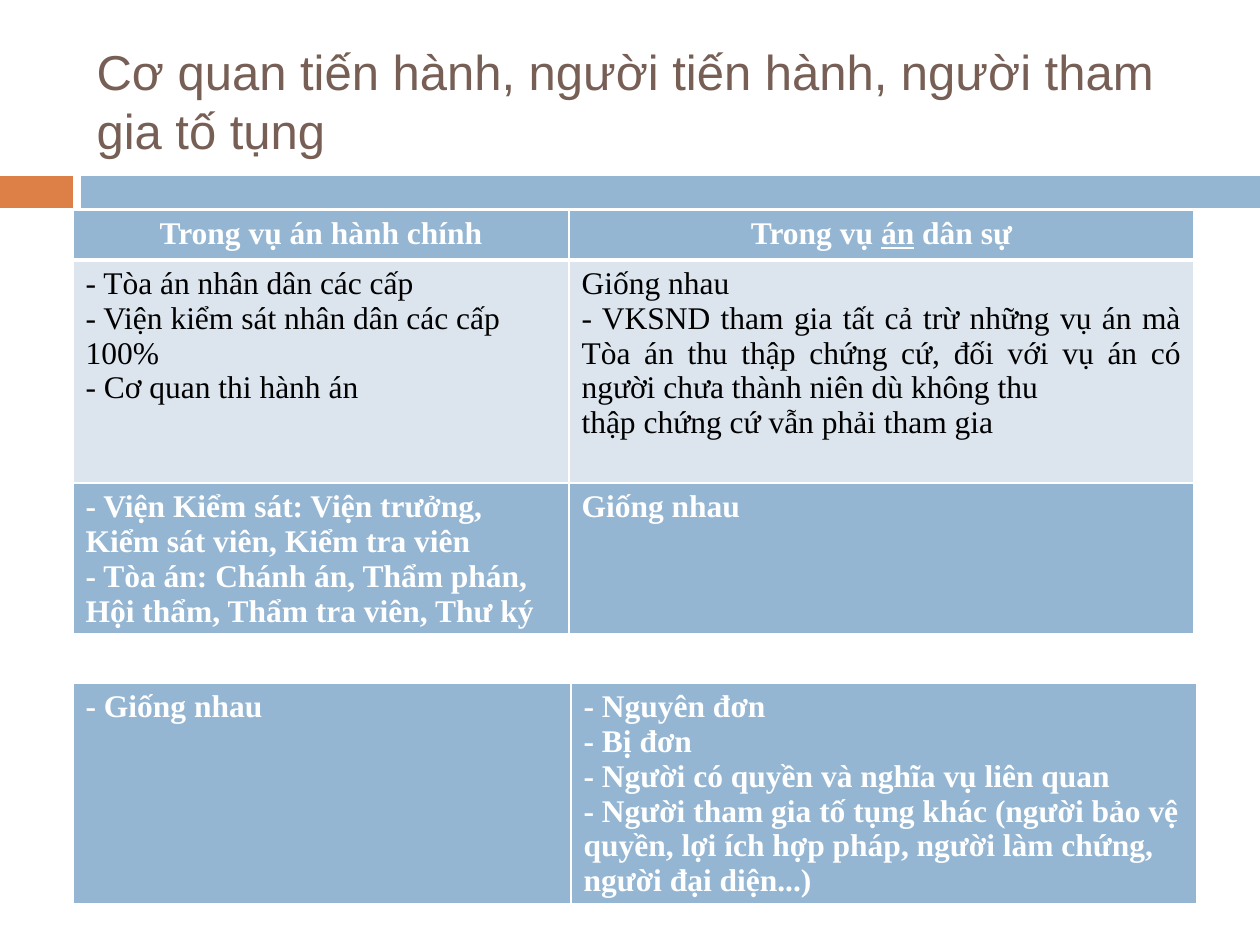
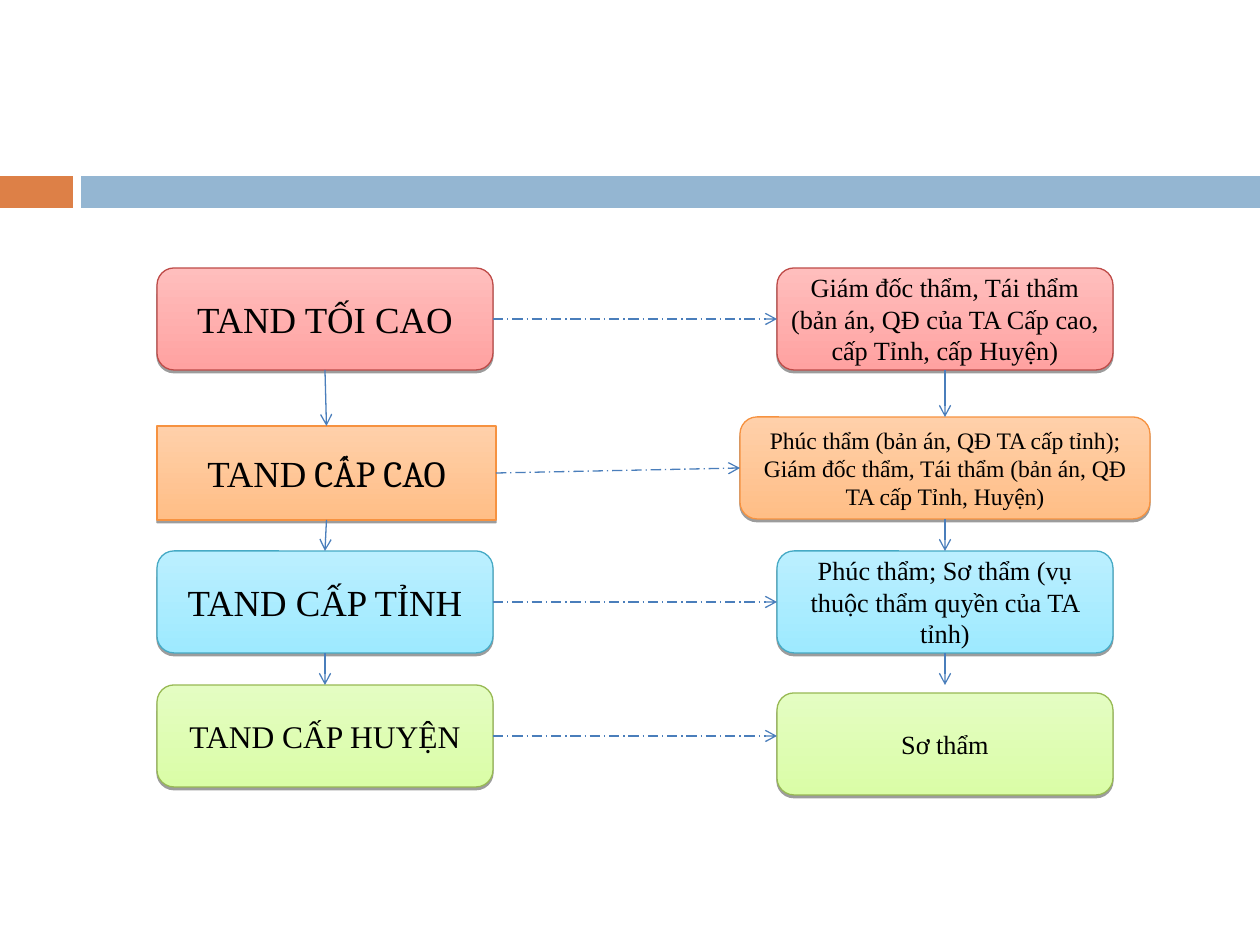
from dataclasses import dataclass
from typing import NamedTuple, Optional, Sequence, Union

from lxml.etree import SubElement
from pptx import Presentation
from pptx.dml.color import RGBColor
from pptx.enum.dml import MSO_LINE
from pptx.enum.shapes import MSO_CONNECTOR, MSO_SHAPE
from pptx.enum.text import MSO_ANCHOR, MSO_AUTO_SIZE, PP_ALIGN
from pptx.oxml.ns import qn
from pptx.util import Emu, Pt

PX_PER_INCH = 126
TOP, LEFT, BOTTOM, RIGHT = range(4)


def px(length: int) -> Emu:
    return Emu(round(length * 914400 / PX_PER_INCH))


@dataclass(frozen=True)
class Theme:
    title_font: str = "Arial"
    text_font: str = "Times New Roman"
    accent_font: str = "Cambria"
    title: str = "775F55"
    orange: str = "DD8047"
    blue: str = "94B6D2"
    pale_blue: str = "DCE5EE"
    white: str = "FFFFFF"
    black: str = "000000"
    arrow: str = "4A7EBB"
    title_size: float = 28
    table_size: float = 18
    court_size: float = 21
    district_size: float = 18
    power_size: float = 15
    dense_size: float = 13.5
    hairline: float = 0.75


THEME = Theme()


class Run(NamedTuple):
    text: str
    font: Optional[str] = None
    underline: bool = False


Paragraph = Union[str, Sequence[Run]]


class Level(NamedTuple):
    dark: str
    light: str
    edge: str


class Box(NamedTuple):
    x: int
    y: int
    width: int
    height: int
    level: Level
    text: Paragraph
    size: float
    outline: MSO_SHAPE = MSO_SHAPE.ROUNDED_RECTANGLE


class Cell(NamedTuple):
    paragraphs: Sequence[Paragraph]
    align: PP_ALIGN = PP_ALIGN.LEFT
    fill: str = THEME.blue
    color: str = THEME.white
    bold: bool = True
    bottom_border: float = 3


class Grid(NamedTuple):
    y: int
    columns: Sequence[int]
    heights: Sequence[int]
    rows: Sequence[Sequence[Cell]]


def body_cell(*paragraphs: str) -> Cell:
    return Cell(paragraphs, PP_ALIGN.JUSTIFY, THEME.pale_blue, THEME.black, False, 1)


# Content: comparison tables
TABLE_X = 73
COMPARISON = [
    Grid(210, (496, 625), (50, 229), [
        [Cell(["Trong vụ án hành chính"], PP_ALIGN.CENTER),
         Cell([(Run("Trong vụ "), Run("án", underline=True), Run(" dân sự"))],
              PP_ALIGN.CENTER)],
        [body_cell("- Tòa án nhân dân các cấp",
                   "- Viện kiểm sát nhân dân các cấp",
                   "100%",
                   "- Cơ quan thi hành án"),
         body_cell("Giống nhau",
                   "- VKSND tham gia tất cả trừ những vụ án mà Tòa án thu thập chứng cứ, "
                   "đối với vụ án có người chưa thành niên dù không thu",
                   "thập chứng cứ vẫn phải tham gia")],
    ]),
    Grid(483, (496, 625), (150,), [
        [Cell(["- Viện Kiểm sát: Viện trưởng, Kiểm sát viên, Kiểm tra viên",
               "- Tòa án: Chánh án, Thẩm phán, Hội thẩm, Thẩm tra viên, Thư ký"]),
         Cell(["Giống nhau"])],
    ]),
    Grid(683, (498, 626), (219,), [
        [Cell(["- Giống nhau"]),
         Cell(["- Nguyên đơn",
               "- Bị đơn",
               "- Người có quyền và nghĩa vụ liên quan",
               "- Người tham gia tố tụng khác (người bảo vệ quyền, lợi ích hợp pháp, "
               "người làm chứng, người đại diện...)"])],
    ]),
]

# Content: court levels and their powers, from highest to lowest
SUPREME = Level("FFA2A1", "FFBEBD", "BE4B48")
HIGH = Level("FFBE86", "FFD0AA", "F69240")
PROVINCE = Level("9EEAFF", "BBEFFF", "46AAC5")
DISTRICT = Level("DAFDA7", "E4FDC2", "98B954")

COURT_X, POWER_X, BOX_W, BOX_H = 157, 777, 336, 102
COURTS = [
    Box(COURT_X, 268, BOX_W, BOX_H, SUPREME, "TAND TỐI CAO", THEME.court_size),
    Box(COURT_X, 426, 339, 94, HIGH,
        (Run("TAND"), Run(" CẤP CAO", THEME.accent_font)),
        THEME.court_size, MSO_SHAPE.RECTANGLE),
    Box(COURT_X, 551, BOX_W, BOX_H, PROVINCE, "TAND CẤP TỈNH", THEME.court_size),
    Box(COURT_X, 685, BOX_W, BOX_H, DISTRICT, "TAND CẤP HUYỆN", THEME.district_size),
]
POWERS = [
    Box(POWER_X, 268, BOX_W, BOX_H, SUPREME,
        "Giám đốc thẩm, Tái thẩm (bản án, QĐ của TA Cấp cao, cấp Tỉnh, cấp Huyện)",
        THEME.power_size),
    Box(740, 417, 410, BOX_H, HIGH,
        "Phúc thẩm (bản án, QĐ TA cấp tỉnh); Giám đốc thẩm, Tái thẩm "
        "(bản án, QĐ TA cấp Tỉnh, Huyện)", THEME.dense_size),
    Box(POWER_X, 551, BOX_W, BOX_H, PROVINCE,
        "Phúc thẩm; Sơ thẩm (vụ thuộc thẩm quyền của TA tỉnh)", THEME.power_size),
    Box(POWER_X, 693, BOX_W, BOX_H, DISTRICT, "Sơ thẩm", THEME.power_size),
]


def rgb(value: str) -> RGBColor:
    return RGBColor.from_string(value)


def write_text(frame, paragraphs: Sequence[Paragraph], *, size: float,
               font: str = THEME.text_font, color: str = THEME.black,
               bold: bool = False, align: PP_ALIGN = PP_ALIGN.LEFT) -> None:
    frame.word_wrap = True
    for index, content in enumerate(paragraphs):
        paragraph = frame.add_paragraph() if index else frame.paragraphs[0]
        paragraph.alignment = align
        for part in [Run(content)] if isinstance(content, str) else content:
            run = paragraph.add_run()
            run.text = part.text
            run.font.name = part.font or font
            run.font.size = Pt(size)
            run.font.bold = bold
            run.font.color.rgb = rgb(color)
            if part.underline:
                run.font.underline = True


def add_bands(slide, layout) -> None:
    """Draw the two bands and hand them to the layout shared by all slides."""
    for x, width, color in ((0, 73, THEME.orange), (81, 1179, THEME.blue)):
        band = slide.shapes.add_shape(MSO_SHAPE.RECTANGLE, px(x), px(176),
                                      px(width), px(32))
        band.shadow.inherit = False
        band.fill.solid()
        band.fill.fore_color.rgb = rgb(color)
        band.line.fill.background()
        layout.shapes.element.append(band.element)


def set_borders(cell, bottom: float) -> None:
    properties = cell._tc.get_or_add_tcPr()
    for index, (side, width) in enumerate(
            (("L", 1), ("R", 1), ("T", 1), ("B", bottom))):
        line = SubElement(properties, qn(f"a:ln{side}"), w=str(Pt(width)))
        fill = SubElement(line, qn("a:solidFill"))
        SubElement(fill, qn("a:srgbClr"), val=THEME.white)
        properties.insert(index, line)


def add_grid(slide, grid: Grid) -> None:
    table = slide.shapes.add_table(
        len(grid.rows), len(grid.columns), px(TABLE_X), px(grid.y),
        px(sum(grid.columns)), px(sum(grid.heights))).table
    table.horz_banding = False
    for column, width in zip(table.columns, grid.columns):
        column.width = px(width)
    for row, height, contents in zip(table.rows, grid.heights, grid.rows):
        row.height = px(height)
        for cell, content in zip(row.cells, contents):
            cell.fill.solid()
            cell.fill.fore_color.rgb = rgb(content.fill)
            set_borders(cell, content.bottom_border)
            write_text(cell.text_frame, content.paragraphs, size=THEME.table_size,
                       color=content.color, bold=content.bold, align=content.align)


def add_box(slide, box: Box):
    shape = slide.shapes.add_shape(box.outline, px(box.x), px(box.y),
                                   px(box.width), px(box.height))
    shape.fill.gradient()
    shape.fill.gradient_angle = 90
    for stop, color in zip(shape.fill.gradient_stops, (box.level.dark, box.level.light)):
        stop.color.rgb = rgb(color)
    shape.line.color.rgb = rgb(box.level.edge)
    shape.line.width = Pt(THEME.hairline)
    # Hard shadow just below the box
    shape.shadow.inherit = False
    effects = shape.element.spPr.find(qn("a:effectLst"))
    shadow = SubElement(effects, qn("a:outerShdw"), blurRad="0", dist=str(Pt(1.6)),
                        dir="5400000", rotWithShape="0")
    color = SubElement(shadow, qn("a:srgbClr"), val=THEME.black)
    SubElement(color, qn("a:alpha"), val="38000")
    frame = shape.text_frame
    frame.vertical_anchor = MSO_ANCHOR.MIDDLE
    frame.margin_left = frame.margin_right = px(4)
    frame.margin_top = frame.margin_bottom = 0
    write_text(frame, [box.text], size=box.size, align=PP_ALIGN.CENTER)
    return shape


def add_arrow(slide, source, source_side: int, *, target=None, target_side: int = TOP,
              end: tuple[int, int] = (0, 0), dashed: bool = False) -> None:
    """Join source to target, or to the free point end when there is no target."""
    arrow = slide.shapes.add_connector(MSO_CONNECTOR.STRAIGHT, 0, 0,
                                       px(end[0]), px(end[1]))
    arrow.begin_connect(source, source_side)
    if target is not None:
        arrow.end_connect(target, target_side)
    arrow.line.color.rgb = rgb(THEME.arrow)
    arrow.line.width = Pt(THEME.hairline)
    if dashed:
        arrow.line.dash_style = MSO_LINE.LONG_DASH_DOT
    SubElement(arrow.line._get_or_add_ln(), qn("a:tailEnd"), type="arrow")
    SubElement(arrow.element.spPr, qn("a:effectLst"))


def build_comparison(slide) -> None:
    title = slide.shapes.title
    title.left, title.top, title.width, title.height = px(84), px(32), px(1124), px(136)
    title.text_frame.auto_size = MSO_AUTO_SIZE.NONE
    title.text_frame.vertical_anchor = MSO_ANCHOR.MIDDLE
    write_text(title.text_frame,
               ["Cơ quan tiến hành, người tiến hành, người tham gia tố tụng"],
               size=THEME.title_size, font=THEME.title_font, color=THEME.title)
    for grid in COMPARISON:
        add_grid(slide, grid)


def build_hierarchy(slide) -> None:
    empty_title = slide.shapes.title.element
    empty_title.getparent().remove(empty_title)
    courts = [add_box(slide, box) for box in COURTS]
    powers = [add_box(slide, box) for box in POWERS]
    # Each court points to its powers; the last arrow stays level
    for court, power in zip(courts[:-1], powers):
        add_arrow(slide, court, RIGHT, target=power, target_side=LEFT, dashed=True)
    add_arrow(slide, courts[-1], RIGHT, end=(POWER_X, 736), dashed=True)
    # Downward chains; the last power arrow stops short of its box
    for upper, lower in [*zip(courts, courts[1:]), *zip(powers[:-1], powers[1:-1])]:
        add_arrow(slide, upper, BOTTOM, target=lower)
    add_arrow(slide, powers[-2], BOTTOM, end=(945, 685))


def main() -> None:
    deck = Presentation()
    deck.slide_width, deck.slide_height = px(1260), px(945)
    layout = deck.slide_layouts.get_by_name("Title Only")
    comparison, hierarchy = (deck.slides.add_slide(layout) for _ in range(2))
    add_bands(comparison, layout)
    build_comparison(comparison)
    build_hierarchy(hierarchy)
    deck.save("out.pptx")


if __name__ == "__main__":
    main()
